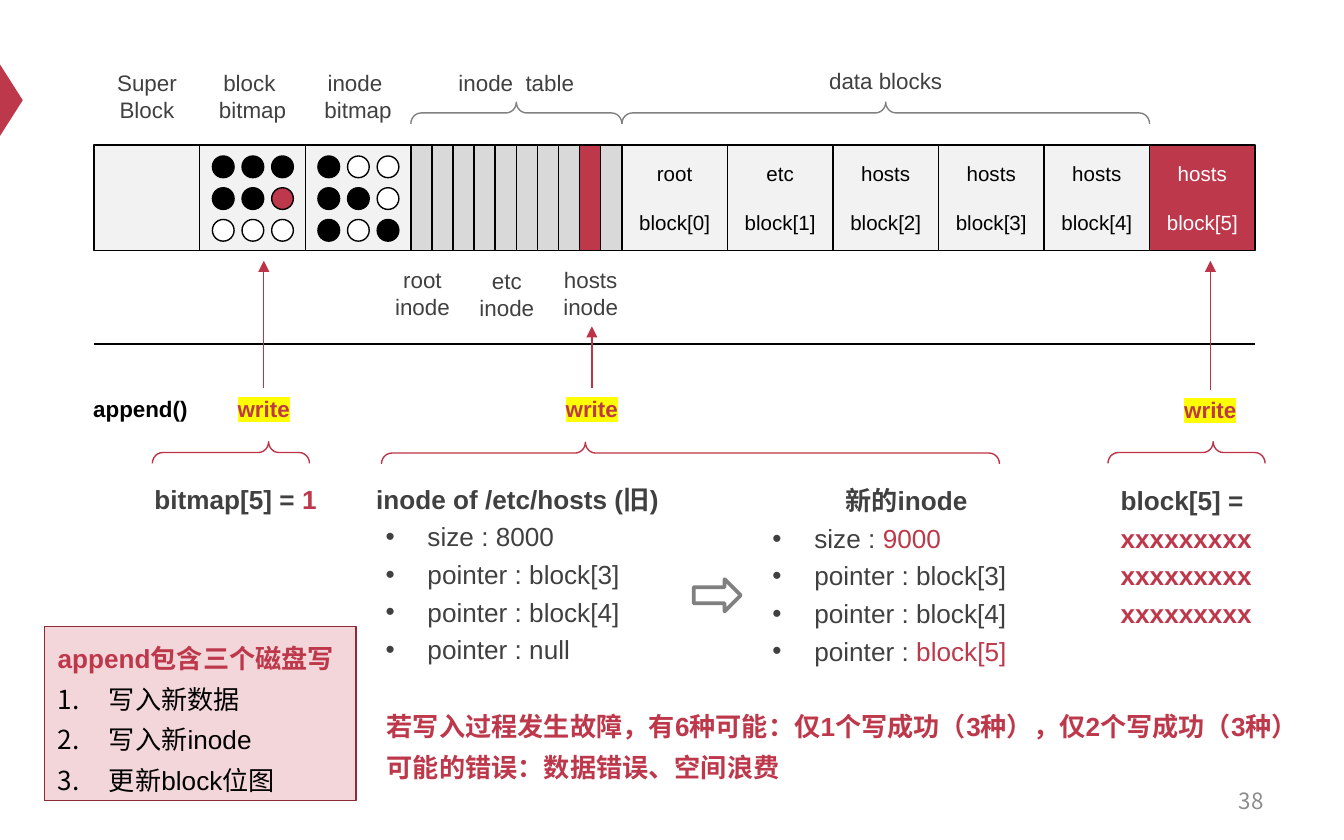
from dataclasses import dataclass
from typing import NamedTuple, Optional

from lxml.etree import SubElement
from pptx import Presentation
from pptx.dml.color import RGBColor
from pptx.enum.shapes import MSO_CONNECTOR, MSO_SHAPE
from pptx.enum.text import MSO_ANCHOR, PP_ALIGN
from pptx.oxml.ns import qn
from pptx.util import Cm, Pt

COLORS = {
    "black": "000000", "white": "FFFFFF", "red": "BE384B", "rule_red": "BD3347",
    "text": "404040", "gray": "808080", "number": "8C8C8C", "cell": "F2F2F2",
    "inode": "D9D9D9", "pink": "F3D6DA", "pink_edge": "8E2A38", "marker": "FFFF00",
}
CJK = "Noto Sans CJK SC"

# Disk strip, in cm
STRIP_X, STRIP_Y, STRIP_W = 1.78, 2.74, 21.94
BLOCK = STRIP_W / 11
INODE = BLOCK / 5
INODES_X, DATA_X = STRIP_X + 3 * BLOCK, STRIP_X + 5 * BLOCK


class Box(NamedTuple):
    x: float
    y: float
    w: float
    h: float

    def lengths(self):
        return [Cm(value) for value in self]


class Run(NamedTuple):
    text: str
    color: str = "text"
    bold: bool = False
    marker: bool = False


@dataclass
class Para:
    runs: list[Run]
    align: PP_ALIGN = PP_ALIGN.LEFT
    spacing: Optional[float] = None
    before: float = 0
    bullet: str = ""


@dataclass
class Brace:
    x: float
    y: float
    w: float
    tip: float
    color: str


@dataclass
class Write:
    x: float
    y: float
    arrow_top: float


def rgb(name: str) -> RGBColor:
    return RGBColor.from_string(COLORS[name])


def add_bullet(paragraph, bullet: str) -> None:
    props = paragraph._p.get_or_add_pPr()
    margin, indent = (0.97, -0.97) if bullet == "number" else (0.97, -0.79)
    props.set("marL", str(Cm(margin)))
    props.set("indent", str(Cm(indent)))
    if bullet == "number":
        SubElement(props, qn("a:buFont"), typeface=CJK)
        SubElement(props, qn("a:buAutoNum"), type="arabicPeriod")
    else:
        SubElement(props, qn("a:buFont"), typeface="Arial")
        SubElement(props, qn("a:buChar"), char=bullet)


def write_text(frame, paras: list[Para], size: float, font: str = "Arial") -> None:
    frame.word_wrap = True
    for index, para in enumerate(paras):
        paragraph = frame.add_paragraph() if index else frame.paragraphs[0]
        paragraph.alignment = para.align
        if para.spacing:
            paragraph.line_spacing = para.spacing
        if para.before:
            paragraph.space_before = Pt(para.before)
        if para.bullet:
            add_bullet(paragraph, para.bullet)
        for part in para.runs:
            run = paragraph.add_run()
            run.text = part.text
            run.font.size, run.font.bold, run.font.name = Pt(size), part.bold, font
            run.font.color.rgb = rgb(part.color)
            latin = run._r.rPr.find(qn("a:latin"))
            east = SubElement(run._r.rPr, qn("a:ea"), typeface=CJK)
            latin.addnext(east)
            if part.marker:
                highlight = SubElement(run._r.rPr, qn("a:highlight"))
                SubElement(highlight, qn("a:srgbClr"), val=COLORS["marker"])
                latin.addprevious(highlight)


def add_text(slide, box: Box, paras: list[Para], size: float = 14, font: str = "Arial"):
    label = slide.shapes.add_textbox(*box.lengths())
    write_text(label.text_frame, paras, size, font)
    return label


def add_label(slide, box: Box, *lines: str):
    return add_text(slide, box, [Para([Run(line)], PP_ALIGN.CENTER) for line in lines], 12)


def add_preset(slide, kind, box: Box, fill: Optional[str], line: Optional[str], width=0.75):
    shape = slide.shapes.add_shape(kind, *box.lengths())
    shape.shadow.inherit = False
    for part, color in ((shape.fill, fill), (shape.line.fill, line)):
        if color:
            part.solid()
            part.fore_color.rgb = rgb(color)
        else:
            part.background()
    if line:
        shape.line.width = Pt(width)
    return shape


def add_brace(slide, brace: Brace) -> None:
    depth = 0.41
    box = Box(brace.x + (brace.w - depth) / 2, brace.y + (depth - brace.w) / 2, depth, brace.w)
    shape = add_preset(slide, MSO_SHAPE.RIGHT_BRACE, box, None, brace.color)
    shape.rotation = 270
    shape.adjustments[0], shape.adjustments[1] = 0.478, brace.tip


def add_line(slide, x1: float, y1: float, x2: float, y2: float, color: str):
    line = slide.shapes.add_connector(MSO_CONNECTOR.STRAIGHT, Cm(x1), Cm(y1), Cm(x2), Cm(y2))
    line.line.color.rgb, line.line.width = rgb(color), Pt(0.75)
    SubElement(line._element.spPr, qn("a:effectLst"))
    return line


def add_write(slide, write: Write) -> None:
    width = 1.75
    run = Run("write", "red", True, True)
    label = add_text(slide, Box(write.x, write.y, width, 0.76), [Para([run], PP_ALIGN.CENTER)], 12)
    middle = write.x + width / 2
    arrow = add_line(slide, middle, write.arrow_top, middle, write.y, "rule_red")
    arrow.end_connect(label, 0)
    SubElement(arrow.line._get_or_add_ln(), qn("a:headEnd"), type="triangle")


def add_bitmap(slide, column: int, rows: list[str]) -> None:
    fills = {"#": "black", ".": "white", "!": "red"}
    x = STRIP_X + column * BLOCK
    for r, row in enumerate(rows):
        for c, bit in enumerate(row):
            dot = Box(x + 0.24 + 0.56 * c, STRIP_Y + 0.21 + 0.6 * r, 0.41, 0.41)
            add_preset(slide, MSO_SHAPE.OVAL, dot, fills[bit], "black")


def add_strip(slide) -> None:
    for i in range(3):
        add_preset(slide, MSO_SHAPE.RECTANGLE, Box(STRIP_X + i * BLOCK, STRIP_Y, BLOCK, BLOCK), "cell", "black")
    add_bitmap(slide, 1, ["###", "##!", "..."])
    add_bitmap(slide, 2, ["#..", "##.", "#.#"])
    for i in range(10):
        box = Box(INODES_X + i * INODE, STRIP_Y, INODE, BLOCK)
        add_preset(slide, MSO_SHAPE.RECTANGLE, box, "red" if i == 8 else "inode", "black")
    for i, owner in enumerate(["root", "etc"] + ["hosts"] * 4):
        fill, ink = ("red", "white") if i == 5 else ("cell", "black")
        block = add_preset(slide, MSO_SHAPE.RECTANGLE, Box(DATA_X + i * BLOCK, STRIP_Y, BLOCK, BLOCK), fill, "black")
        block.text_frame.margin_left = block.text_frame.margin_right = 0
        write_text(block.text_frame, [Para([Run(owner, ink)], PP_ALIGN.CENTER),
                                      Para([Run(f"block[{i}]", ink)], PP_ALIGN.CENTER, before=13)], 11)


def inode_fields(title: str, align: PP_ALIGN, fields: list[tuple[str, str, str]]) -> list[Para]:
    paras = [Para([Run(title, bold=True)], align, 1.2)]
    for name, value, color in fields:
        paras.append(Para([Run(f"{name} : "), Run(value, color)], spacing=1.2, bullet="•"))
    return paras


def main() -> None:
    deck = Presentation()
    deck.slide_width, deck.slide_height = Cm(25.4), Cm(15.88)
    slide = deck.slides.add_slide(deck.slide_layouts[6])

    # Edge marker and page number
    add_preset(slide, MSO_SHAPE.ISOSCELES_TRIANGLE, Box(-0.46, 1.68, 1.35, 0.43), "red", None).rotation = 90
    page = add_text(slide, Box(18.21, 14.71, 5.92, 0.84), [Para([Run("38", "number")], PP_ALIGN.RIGHT)], 12, CJK)
    page.text_frame.vertical_anchor = MSO_ANCHOR.MIDDLE

    # Disk layout with its labels
    add_strip(slide)
    for i, lines in enumerate([("Super", "Block"), ("block ", "bitmap"), ("inode ", "bitmap")]):
        add_label(slide, Box(STRIP_X + i * BLOCK, 1.19, BLOCK, 1.27), *lines)
    add_label(slide, Box(INODES_X, 1.19, 2 * BLOCK, 0.76), "inode  table")
    add_label(slide, Box(DATA_X, 1.14, 5 * BLOCK, 0.76), "data blocks")
    for x, y, w, owner in [(7.06, 4.9, 1.85, "root"), (8.74, 4.93, 1.68, "etc"), (9.68, 4.9, 2.97, "hosts")]:
        add_label(slide, Box(x, y, w, 1.27), owner, "inode")
    for brace in [Brace(INODES_X, 1.93, 2 * BLOCK, 0.5, "gray"), Brace(DATA_X, 1.93, 5 * BLOCK, 0.5, "gray"),
                  Brace(7.21, 8.36, 11.68, 0.33, "rule_red"), Brace(2.88, 8.35, 2.97, 0.74, "rule_red"),
                  Brace(20.94, 8.35, 2.97, 0.67, "rule_red")]:
        add_brace(slide, brace)

    # Writes made by append()
    add_line(slide, STRIP_X, 6.5, STRIP_X + STRIP_W, 6.5, "black")
    add_text(slide, Box(1.5, 7.34, 2.31, 0.76), [Para([Run("append()", "black", True)], PP_ALIGN.CENTER)], 12)
    for write in [Write(4.11, 7.34, 4.93), Write(10.31, 7.34, 6.17), Write(22, 7.37, 4.93)]:
        add_write(slide, write)

    # Changed contents
    add_text(slide, Box(2.67, 8.89, 3.76, 1.88),
             [Para([Run("bitmap[5] = ", bold=True), Run("1", "red", True)], spacing=1.2)])
    pointers = [("pointer", "block[3]", "text"), ("pointer", "block[4]", "text")]
    add_text(slide, Box(6.86, 8.89, 7.32, 5), inode_fields(
        "inode of /etc/hosts (旧)", PP_ALIGN.LEFT,
        [("size", "8000", "text"), *pointers, ("pointer", "null", "text")]))
    add_preset(slide, MSO_SHAPE.RIGHT_ARROW, Box(13.11, 10.95, 0.89, 0.61), None, "gray", 2)
    add_text(slide, Box(14.17, 8.92, 5.92, 5), inode_fields(
        "新的inode", PP_ALIGN.CENTER,
        [("size", "9000", "red"), *pointers, ("pointer", "block[5]", "red")]))
    add_text(slide, Box(20.93, 8.92, 3.23, 4.22),
             [Para([Run("block[5] = ", bold=True), Run("x" * 27, "red", True)], spacing=1.2)])

    # Summary and failure cases
    summary = add_preset(slide, MSO_SHAPE.RECTANGLE, Box(0.84, 11.84, 5.89, 3.3), "pink", "pink_edge")
    summary.text_frame.vertical_anchor = MSO_ANCHOR.TOP
    steps = [Para([Run(step, "black")], spacing=1.3, bullet="number")
             for step in ("写入新数据", "写入新inode", "更新block位图")]
    write_text(summary.text_frame, [Para([Run("append包含三个磁盘写", "red", True)], spacing=1.3), *steps], 14)
    add_text(slide, Box(7.06, 13.13, 17.78, 1.73), [
        Para([Run(line, "red", True)], spacing=1.3) for line in
        ("若写入过程发生故障，有6种可能：仅1个写成功（3种），仅2个写成功（3种）", "可能的错误：数据错误、空间浪费")])

    deck.save("out.pptx")


if __name__ == "__main__":
    main()
